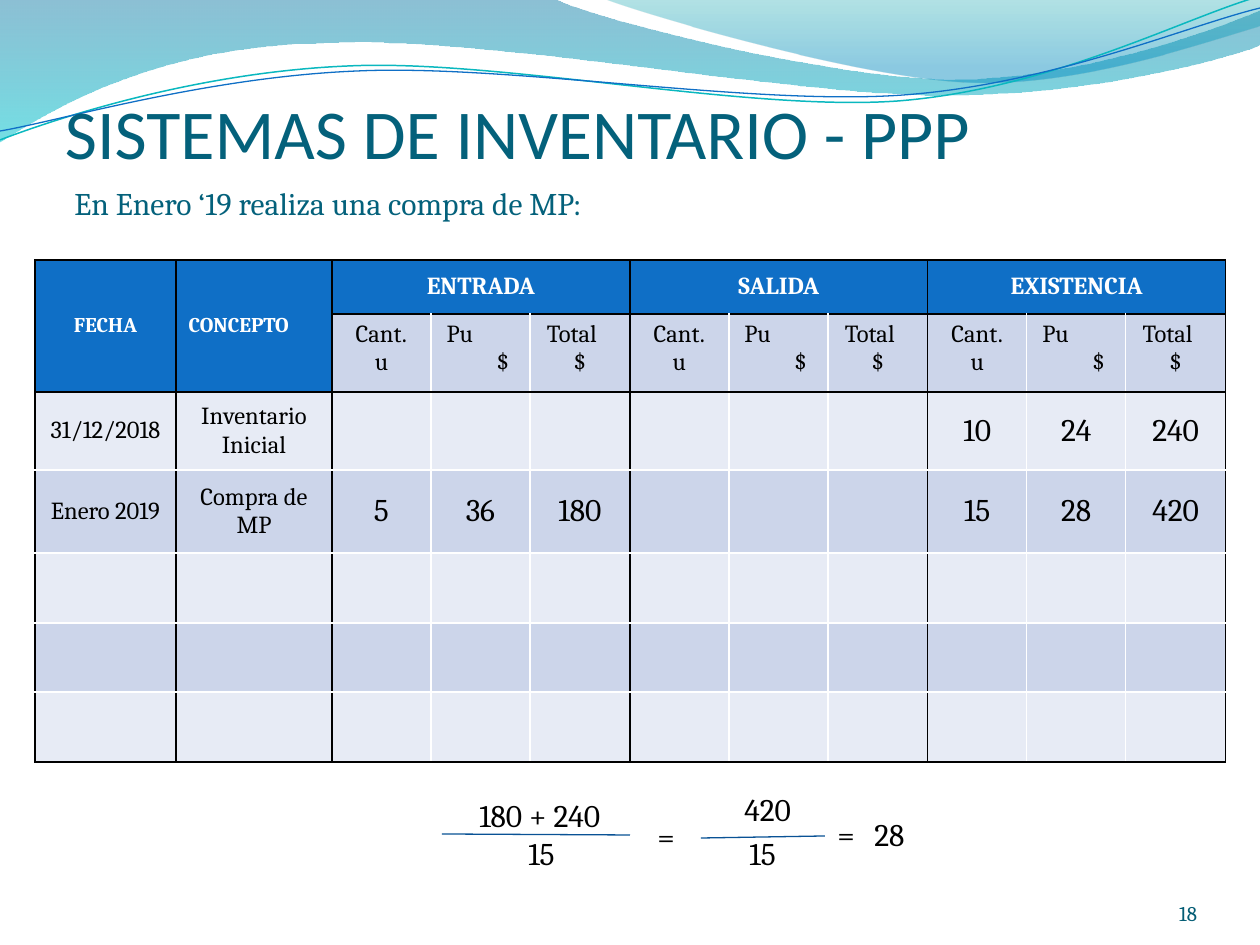
import math
import pptx
import pptx.util
import pptx.dml.color
import pptx.enum.text
import pptx.enum.shapes
import pptx.oxml.ns
from lxml import etree

COLORS = {"title": "04617B", "number": "045D75", "header": "0F6FC6", "dark": "CCD5EA",
          "light": "E7EBF5", "black": "000000", "white": "FFFFFF", "rule": "095295",
          "teal": "0AB8BF"}
BANDS = [
    ((0, 0), [[(554, -1)], [(600, 21), (837, 79), (955, 79)],
              [(1075, 79), (1207, 33), (1260, 11)], [(1261, 45)],
              [(1239, 55), (1096, 96), (940, 95)], [(784, 95), (481, 35), (324, 43)],
              [(163, 45), (58, 105), (-1, 142)]],
     [(0, "0074A1", 45), (1, "00C6CF", 55)]),
    ((604, -1), [[(641, 14), (859, 78), (969, 82)],
                 [(1079, 87), (1211, 40), (1260, 26)], [(1260, 0)]],
     [(0, "00A1A9", 30), (0.8, "008BBF", 45)]),
]
WAVES = [
    ((0, 140), [[(60, 117), (199, 72), (349, 66)], [(498, 59), (747, 112), (898, 101)],
                [(1050, 89), (1182, 19), (1257, -3)]], "teal", 0.85),
    ((0, 131), [[(59, 121), (207, 77), (357, 71)], [(508, 64), (752, 106), (903, 95)],
                [(1053, 84), (1186, 26), (1260, 8)]], "header", 0.75),
]
WAVE_TURN, WAVE_CENTER = -2.7, (629, 73)
TITLE = "SISTEMAS DE INVENTARIO - PPP"
TEXTS = [
    (["En Enero ‘19 realiza una compra de MP:"], (62, 178, 1113, 50), "title"),
    (["180 + 240", "15"], (467, 790, 381, 89), "black"),
    (["="], (645, 811, 47, 52), "black"),
    (["420"], (732, 784, 129, 50), "black"),
    (["15"], (737, 828, 67, 50), "black"),
    (["="], (825, 809, 47, 52), "black"),
    (["28"], (862, 809, 74, 50), "black"),
]
RULES = [(442, 834, 630, 835), (701, 838, 825, 836)]
GROUPS = ["ENTRADA", "SALIDA", "EXISTENCIA"]
SUBHEADS = [
    (["Cant.", "u"], {"align": "c"}),
    (["Pu\n$"], {"left": 53, "first": -50}),
    (["Total\n$"], {"align": "c", "left": 16, "right": 16, "first": -16}),
]
ROWS = [
    ["31/12/2018", "Inventario Inicial", "", "", "", "", "", "", "10", "24", "240"],
    ["Enero 2019", "Compra de MP", "5", "36", "180", "", "", "", "15", "28", "420"],
]
COL_W = [141, 156] + [99, 99, 100] * 3
ROW_H = [54, 78, 78, 83, 70, 69, 70]
LEFT_EDGES, RIGHT_EDGES = (0, 1, 2, 5, 8), (0, 1, 4, 7, 10)

EMU_PER_PX = 914400 / 126
ALIGN = {"l": pptx.enum.text.PP_ALIGN.LEFT, "c": pptx.enum.text.PP_ALIGN.CENTER,
         "r": pptx.enum.text.PP_ALIGN.RIGHT}
ANCHOR = pptx.enum.text.MSO_ANCHOR
qn = pptx.oxml.ns.qn


def px(n):
    return pptx.util.Emu(round(n * EMU_PER_PX))


def write(tf, text, size=18, color="black", font="Cambria", bold=False, align="l",
          left=0, right=0, first=0, more=False):
    p = tf.add_paragraph() if more else tf.paragraphs[0]
    p.alignment = ALIGN[align]
    for key, value in (("marL", left), ("marR", right), ("indent", first)):
        if value:
            p._p.get_or_add_pPr().set(key, str(px(value)))
    for i, line in enumerate(text.split("\n")):
        if i:
            p.add_line_break()
        r = p.add_run()
        r.text = line
        r.font.size = pptx.util.Pt(size)
        r.font.name = font
        r.font.bold = bold
        r.font.color.rgb = rgb(color)


def rgb(name):
    return pptx.dml.color.RGBColor.from_string(COLORS.get(name, name))


def set_insets(tf, left, top, right, bottom):
    tf.margin_left, tf.margin_top = px(left), px(top)
    tf.margin_right, tf.margin_bottom = px(right), px(bottom)


def add_box(slide, at):
    tf = slide.shapes.add_textbox(*map(px, at)).text_frame
    tf.word_wrap = True
    return tf


def turn_back(point):
    a = math.radians(-WAVE_TURN)
    cx, cy = WAVE_CENTER
    dx, dy = point[0] - cx, point[1] - cy
    return (cx + dx * math.cos(a) - dy * math.sin(a),
            cy + dx * math.sin(a) + dy * math.cos(a))


def add_curve(slide, start, segments, close):
    builder = slide.shapes.build_freeform(*map(px, start), scale=1.0)
    builder.add_line_segments([tuple(map(px, seg[-1])) for seg in segments], close=close)
    sp = builder.convert_to_shape()
    sp.shadow.inherit = False
    for seg, ln in zip(segments, list(sp._element.spPr.iter(qn("a:lnTo")))):
        if len(seg) == 3:
            bez = etree.Element(qn("a:cubicBezTo"))
            for x, y in seg:
                etree.SubElement(bez, qn("a:pt"), x=str(px(x) - sp.left), y=str(px(y) - sp.top))
            ln.getparent().replace(ln, bez)
    return sp


def add_waves(slide):
    for start, segments, stops in BANDS:
        sp = add_curve(slide, start, segments, True)
        sp.line.fill.background()
        sp.fill.gradient()
        sp.fill.gradient_angle = 270
        for stop, (pos, color, _) in zip(sp.fill.gradient_stops, stops):
            stop.position = pos
            stop.color.rgb = rgb(color)
        for clr, (_, _, opacity) in zip(sp._element.spPr.iter(qn("a:srgbClr")), stops):
            etree.SubElement(clr, qn("a:alpha")).set("val", str(opacity * 1000))
    for start, segments, color, width in WAVES:
        level = [[turn_back(pt) for pt in seg] for seg in segments]
        sp = add_curve(slide, turn_back(start), level, False)
        sp.rotation = WAVE_TURN
        sp.fill.background()
        sp.line.color.rgb = rgb(color)
        sp.line.width = pptx.util.Pt(width)


def set_borders(cell, sides):
    tcPr = cell._tc.get_or_add_tcPr()
    for i, (side, black) in enumerate(sides.items()):
        ln = etree.Element(qn("a:ln" + side), w="12700")
        fill = etree.SubElement(ln, qn("a:solidFill"))
        etree.SubElement(fill, qn("a:srgbClr")).set("val", COLORS["black" if black else "white"])
        tcPr.insert(i, ln)


def add_inventory(slide):
    table = slide.shapes.add_table(len(ROW_H), len(COL_W), px(35), px(260),
                                   px(sum(COL_W)), px(sum(ROW_H))).table
    for col, w in zip(table.columns, COL_W):
        col.width = px(w)
    for row, h in zip(table.rows, ROW_H):
        row.height = px(h)
    for r in range(len(ROW_H)):
        for c in range(len(COL_W)):
            cell = table.cell(r, c)
            header = r == 0 or (r == 1 and c < 2)
            cell.fill.solid()
            cell.fill.fore_color.rgb = rgb("header" if header else "dark" if r % 2 else "light")
            cell.vertical_anchor = ANCHOR.TOP if r == 1 and not header else ANCHOR.MIDDLE
            set_borders(cell, {"L": header or c in LEFT_EDGES, "R": header or c in RIGHT_EDGES,
                               "T": header or r <= 2, "B": header or r in (1, 6)})
    for c, (text, align) in enumerate([("FECHA", "c"), ("CONCEPTO", "l")]):
        table.cell(0, c).merge(table.cell(1, c))
        write(table.cell(0, c).text_frame, text, size=12, color="white", bold=True, align=align)
    for g, text in enumerate(GROUPS):
        first = 2 + 3 * g
        table.cell(0, first).merge(table.cell(0, first + 2))
        write(table.cell(0, first).text_frame, text, size=14, color="white", bold=True, align="c")
        for k, (lines, fmt) in enumerate(SUBHEADS):
            for i, line in enumerate(lines):
                write(table.cell(1, first + k).text_frame, line, size=14, more=i > 0, **fmt)
    for r, values in enumerate(ROWS, 2):
        for c, text in enumerate(values):
            if text:
                write(table.cell(r, c).text_frame, text, size=14 if c < 2 else 18, align="c")


def main():
    prs = pptx.Presentation()
    prs.slide_width, prs.slide_height = px(1260), px(945)
    slide = prs.slides.add_slide(prs.slide_layouts[5])
    add_waves(slide)

    title = slide.shapes.title
    slide.shapes._spTree.append(title._element)
    title.left, title.top, title.width, title.height = map(px, (65, 84, 1134, 158))
    tf = title.text_frame
    tf.vertical_anchor = ANCHOR.TOP
    set_insets(tf, 0, 6, 0, 0)
    write(tf, TITLE, size=40, color="title", font="Calibri")

    tf = add_box(slide, (1092, 876, 105, 50))
    tf.vertical_anchor = ANCHOR.BOTTOM
    set_insets(tf, 0, 0, 0, 0)
    write(tf, "18", size=12, color="number", align="r")

    add_inventory(slide)
    for lines, at, color in TEXTS:
        tf = add_box(slide, at)
        for i, line in enumerate(lines):
            write(tf, line, color=color, left=49 * i, more=i > 0)
    for ends in RULES:
        line = slide.shapes.add_connector(pptx.enum.shapes.MSO_CONNECTOR.STRAIGHT, *map(px, ends))
        line.line.color.rgb = rgb("rule")
        line.line.width = pptx.util.Pt(0.75)
        etree.SubElement(line._element.spPr, qn("a:effectLst"))
    prs.save("out.pptx")


if __name__ == "__main__":
    main()
